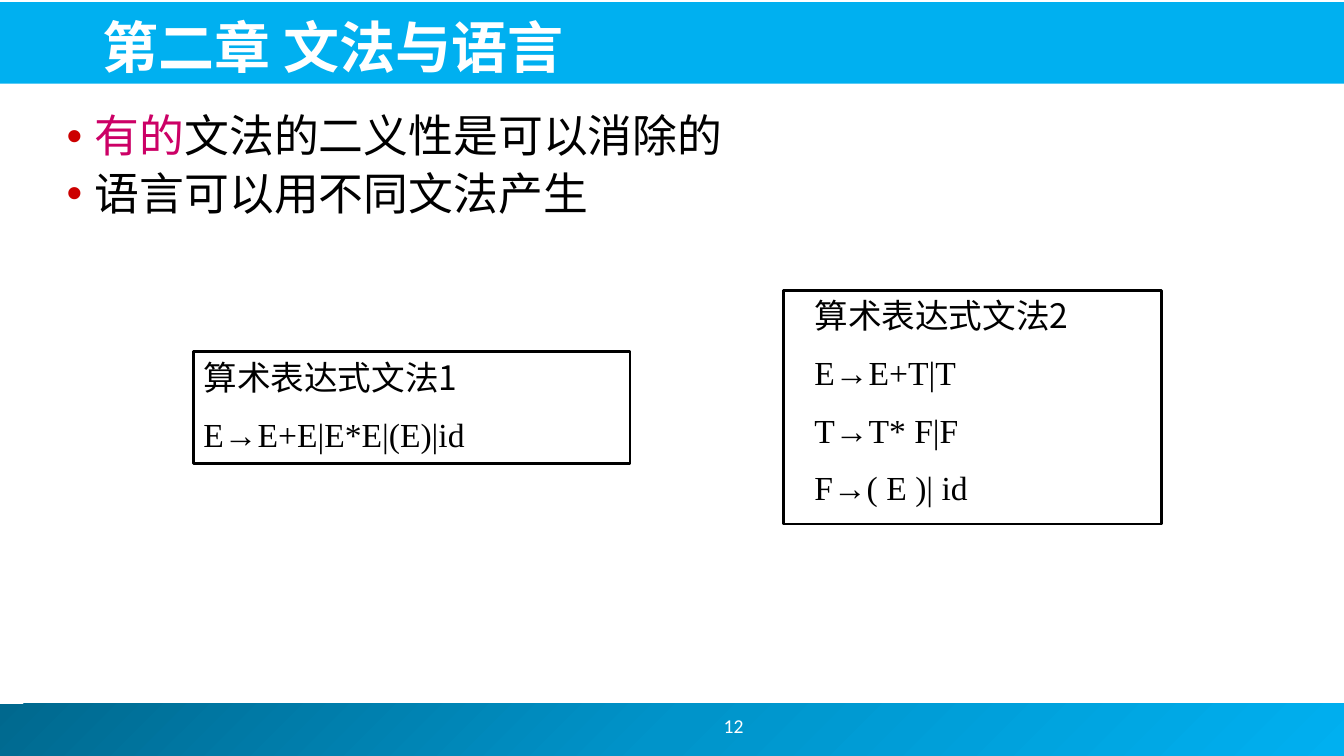
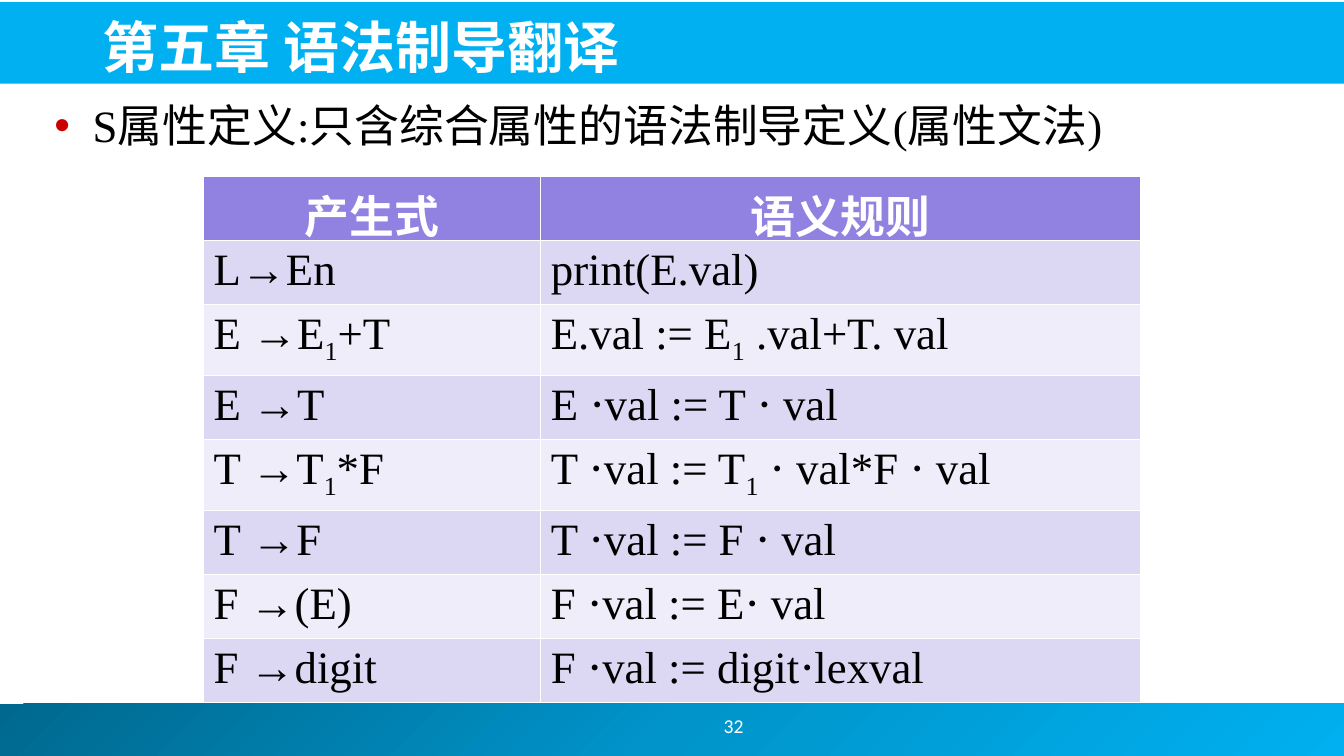
from copy import deepcopy

from lxml import etree
from pptx import Presentation
from pptx import util as u
from pptx.dml.color import RGBColor
from pptx.enum import lang, shapes, text
from pptx.oxml.ns import qn

WIDTH, HEIGHT = u.Inches(13.33), u.Inches(7.5)

WHITE = RGBColor(0xFF, 0xFF, 0xFF)
BLACK = RGBColor(0x00, 0x00, 0x00)
SKY = RGBColor(0x00, 0xB0, 0xF0)
FOOTER_STOPS = (RGBColor(0x00, 0x68, 0x8E), RGBColor(0x00, 0x94, 0xCA), SKY)
BULLET_RED = RGBColor(0xCC, 0x00, 0x00)
PINK = RGBColor(0xCC, 0x00, 0x66)
HEADER_PURPLE = RGBColor(0x91, 0x81, 0xE1)
ROW_PURPLES = (RGBColor(0xEE, 0xED, 0xF9), RGBColor(0xDC, 0xD8, 0xF4))

HEADING_FONT = "Noto Sans CJK JP"
CHINESE_FONT = "Noto Sans CJK SC"
FORMULA_FONT = "Times New Roman"
NUMBER_FONT = "Calibri"

# Boxes are left, top, width, height in percent of the slide.
TITLE_BAND = (0, 0.27, 100, 10.8)
FOOTER_BAND = (0, 93.07, 100, 6.93)
TITLE_BOX = (6.9, 0.67, 89.8, 10.53)
NUMBER_BOX = (43.74, 92.67, 21.68, 6.67)

SEMANTIC_RULES = (
    ("产生式", "语义规则"),
    ("L→En", "print(E.val)"),
    ("E →E_1+T", "E.val := E_1 .val+T. val"),
    ("E →T", "E ⋅val := T ⋅ val"),
    ("T →T_1*F", "T ⋅val := T_1 ⋅ val*F ⋅ val"),
    ("T →F", "T ⋅val := F ⋅ val"),
    ("F →(E)", "F ⋅val := E⋅ val"),
    ("F →digit", "F ⋅val := digit⋅lexval"),
)


def to_lengths(box):
    return [u.Emu(int(share * side / 100))
            for share, side in zip(box, (WIDTH, HEIGHT) * 2)]


def move(shape, box):
    shape.left, shape.top, shape.width, shape.height = to_lengths(box)


def style(span, size, name, color, bold=False):
    font = span.font
    font.size, font.name, font.bold = u.Pt(size), name, bold
    font.color.rgb = color
    font.language_id = lang.MSO_LANGUAGE_ID.SIMPLIFIED_CHINESE
    asian = etree.Element(qn("a:ea"))
    asian.set("typeface", name if name.startswith("Noto") else CHINESE_FONT)
    font._element.find(qn("a:latin")).addnext(asian)


def add_span(para, content, *look, **options):
    span = para.add_run()
    span.text = content
    style(span, *look, **options)
    return span


def add_band(page, box):
    """Add a full-width rectangle behind everything else."""
    band = page.shapes.add_shape(shapes.MSO_SHAPE.RECTANGLE, *to_lengths(box))
    band.shadow.inherit = False
    band.line.fill.background()
    page.shapes.element.insert(2, band.element)
    return band


def add_frame(page, title, number):
    """Add the bands, title and page number that all slides share."""
    title_fill = add_band(page, TITLE_BAND).fill
    title_fill.solid()
    title_fill.fore_color.rgb = SKY

    footer = add_band(page, FOOTER_BAND)
    footer.fill.gradient()
    footer.fill.gradient_angle = 315
    first = next(footer.element.iter(qn("a:gs")))
    first.addnext(deepcopy(first))
    for index, stop in enumerate(footer.fill.gradient_stops):
        stop.position = index / 2
        stop.color.rgb = FOOTER_STOPS[index]

    heading = page.shapes.title
    move(heading, TITLE_BOX)
    frame = heading.text_frame
    frame.auto_size = text.MSO_AUTO_SIZE.NONE
    frame.vertical_anchor = text.MSO_ANCHOR.BOTTOM
    para = frame.paragraphs[0]
    para.alignment = text.PP_ALIGN.LEFT
    add_span(para, title, 40, HEADING_FONT, WHITE, bold=True)

    frame = page.shapes.add_textbox(*to_lengths(NUMBER_BOX)).text_frame
    frame.word_wrap = True
    frame.vertical_anchor = text.MSO_ANCHOR.MIDDLE
    para = frame.paragraphs[0]
    para.alignment = text.PP_ALIGN.CENTER
    add_span(para, number, 14, NUMBER_FONT, WHITE)


def fill_bullets(page, box, bullets, name, margin, hanging, spacing=1.0):
    """Fill the body; each bullet is a list of (text, colour) pairs."""
    body = page.placeholders[1]
    move(body, box)
    frame = body.text_frame
    frame.auto_size = text.MSO_AUTO_SIZE.NONE
    for index, bullet in enumerate(bullets):
        para = frame.add_paragraph() if index else frame.paragraphs[0]
        properties = para._p.get_or_add_pPr()
        properties.set("marL", str(u.Inches(margin)))
        properties.set("indent", str(-u.Inches(hanging)))
        tint = etree.SubElement(properties, qn("a:buClr"))
        etree.SubElement(tint, qn("a:srgbClr")).set("val", str(BULLET_RED))
        para.line_spacing = spacing
        for content, color in bullet:
            add_span(para, content, 32, name, color)


def add_grammar(page, box, heading, rules, margin=0):
    """Add an outlined box with a heading above its grammar rules."""
    card = page.shapes.add_shape(shapes.MSO_SHAPE.RECTANGLE, *to_lengths(box))
    card.shadow.inherit = False
    card.fill.background()
    card.line.color.rgb = BLACK
    card.line.width = u.Pt(2)
    frame = card.text_frame
    frame.auto_size = text.MSO_AUTO_SIZE.SHAPE_TO_FIT_TEXT
    frame.vertical_anchor = text.MSO_ANCHOR.TOP
    frame.text = "\n".join((heading, *rules))
    for index, para in enumerate(frame.paragraphs):
        para.alignment = text.PP_ALIGN.LEFT
        para.space_before = u.Pt(12)
        para._p.get_or_add_pPr().set("marL", str(u.Inches(margin)))
        name = FORMULA_FONT if index else CHINESE_FONT
        style(para.runs[0], 24, name, BLACK)


def write_formula(para, formula, color, bold):
    """Write text in which the digit after an underscore is a subscript."""
    start, *indexed = formula.split("_")
    look = (32, FORMULA_FONT, color, bold)
    add_span(para, start, *look)
    for part in indexed:
        digit = add_span(para, part[0], *look)
        digit.font._element.set("baseline", "-25000")
        add_span(para, part[1:], *look)


def add_rule_table(page, box, rows, first_share):
    left, top, width, height = to_lengths(box)
    table = page.shapes.add_table(
        len(rows), len(rows[0]), left, top, width, height).table
    table.columns[0].width = int(width * first_share)
    table.columns[1].width = width - table.columns[0].width
    for row, formulas in enumerate(rows):
        header = row == 0
        for column, formula in enumerate(formulas):
            cell = table.cell(row, column)
            cell.fill.solid()
            cell.fill.fore_color.rgb = (
                HEADER_PURPLE if header else ROW_PURPLES[row % 2])
            para = cell.text_frame.paragraphs[0]
            if header:
                para.alignment = text.PP_ALIGN.CENTER
            write_formula(para, formula, WHITE if header else BLACK, header)


def build_grammar_slide(page):
    add_frame(page, "第二章 文法与语言", "12")
    bullets = (
        (("有的", PINK), ("文法的二义性是可以消除的", BLACK)),
        (("语言可以用不同文法产生", BLACK),),
    )
    fill_bullets(page, (3.3, 14.4, 93.32, 72.53), bullets,
                 HEADING_FONT, 0.4, 0.28, spacing=0.9)
    add_grammar(page, (58.29, 38.4, 28.13, 30.93), "算术表达式文法2",
                ("E→E+T|T", "T→T* F|F", "F→( E )| id"), margin=0.21)
    add_grammar(page, (14.4, 46.53, 32.48, 14.8), "算术表达式文法1",
                ("E→E+E|E*E|(E)|id",))


def build_translation_slide(page):
    add_frame(page, "第五章 语法制导翻译", "32")
    definition = "S属性定义:只含综合属性的语法制导定义(属性文法)"
    fill_bullets(page, (3.3, 12.27, 93.32, 11.47), (((definition, BLACK),),),
                 FORMULA_FONT, 0.38, 0.38)
    add_rule_table(page, (15.15, 23.33, 69.69, 67.6), SEMANTIC_RULES, 0.36)


def main():
    deck = Presentation()
    deck.slide_width, deck.slide_height = WIDTH, HEIGHT
    for build in (build_grammar_slide, build_translation_slide):
        build(deck.slides.add_slide(deck.slide_layouts[1]))
    deck.save("out.pptx")


if __name__ == "__main__":
    main()
